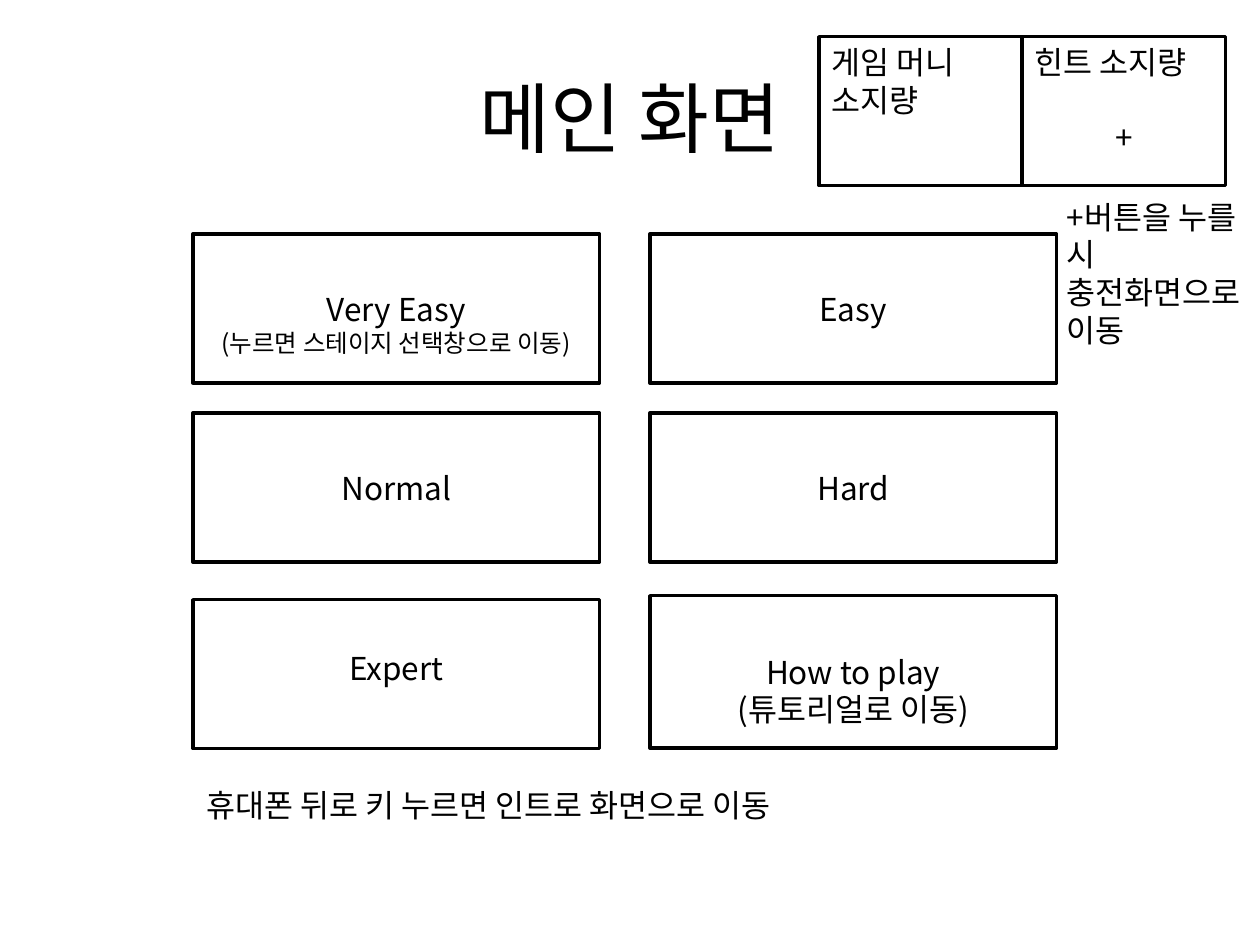
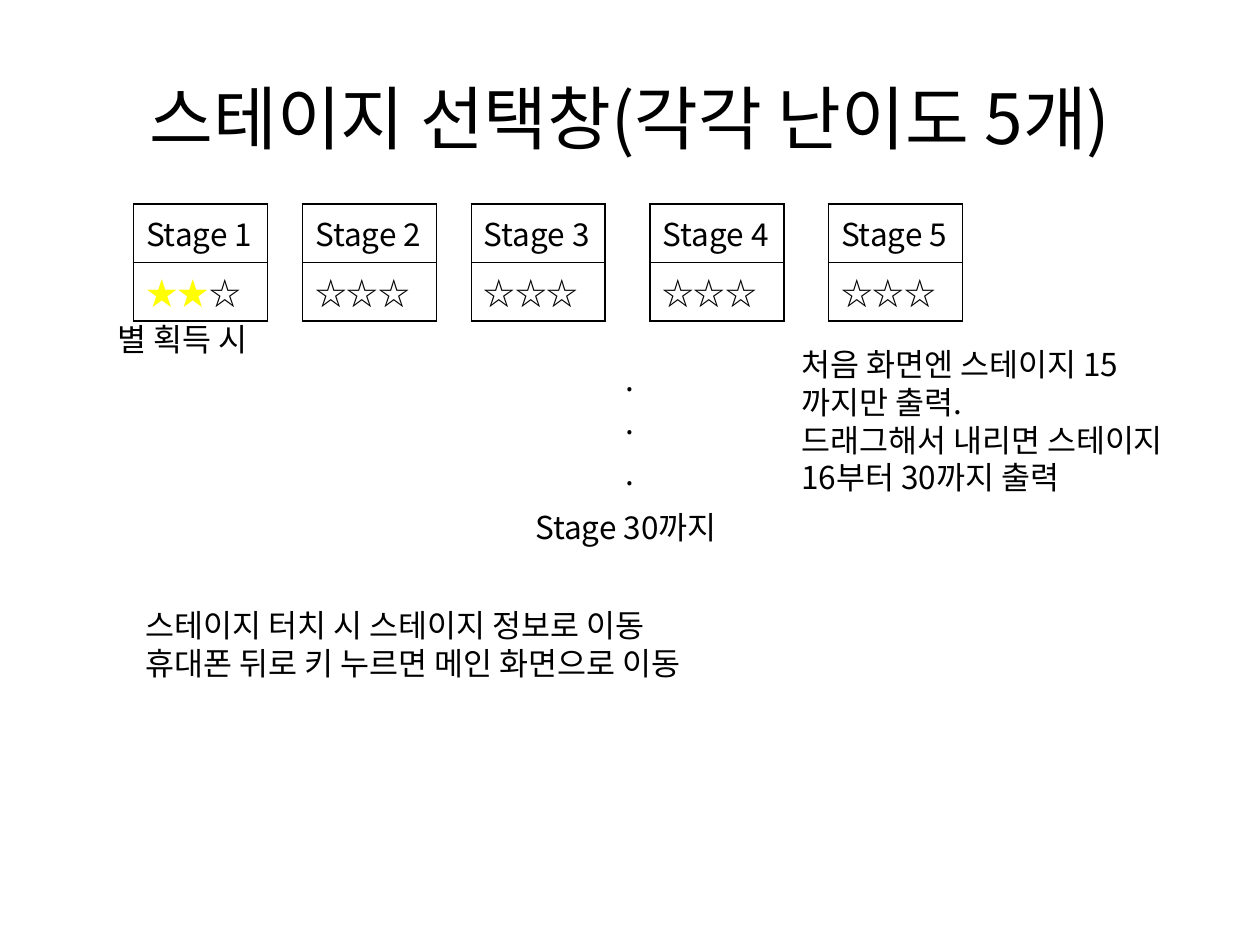
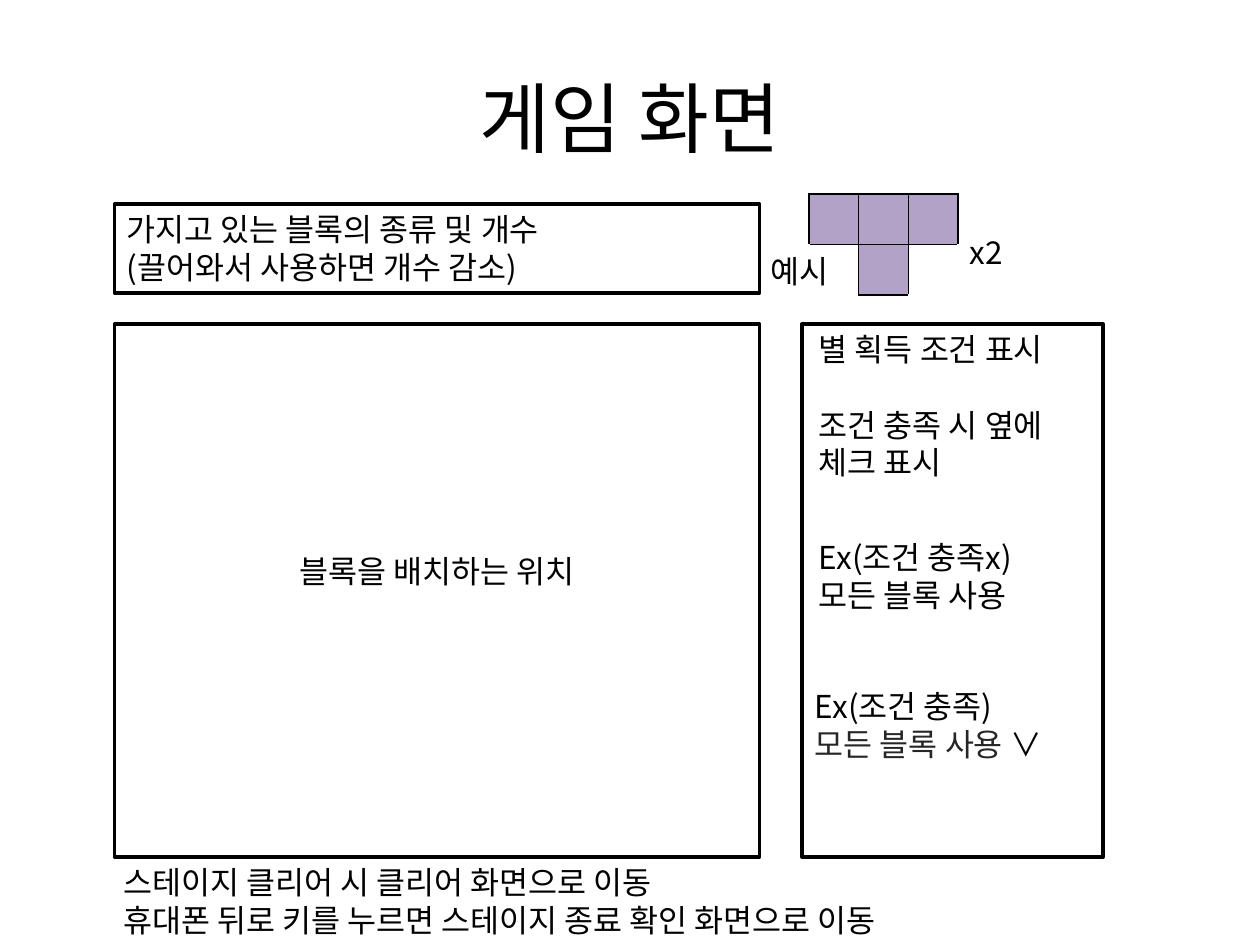
from dataclasses import dataclass
from typing import NamedTuple, Union

from lxml import etree
from pptx import Presentation
from pptx import util as u
from pptx.dml.color import RGBColor
from pptx.enum import shapes, text
from pptx.oxml.ns import qn

# Shared style
FONT = "Noto Sans CJK KR"
HUE = {"ink": "000000", "paper": "FFFFFF", "star": "FFFF00",
       "block": "B3A2C7", "gray": "262626"}
SIZE = 18
LEAD = 1.2
LEFT, MID = text.PP_ALIGN.LEFT, text.PP_ALIGN.CENTER


class Run(NamedTuple):
    words: str
    size: float = SIZE
    hue: str = "ink"


class Line(NamedTuple):
    runs: tuple[Run, ...]
    gap: float = 0


@dataclass(frozen=True)
class Box:
    x: float
    y: float
    w: float
    h: float


@dataclass(frozen=True)
class Note:
    box: Box
    lines: tuple[Union[str, Line], ...]
    side: text.PP_ALIGN = LEFT
    wrap: bool = True


class Button(NamedTuple):
    col: int
    y: float
    h: float
    drop: float
    lines: tuple[Union[str, Line], ...]


def color(name: str) -> RGBColor:
    return RGBColor.from_string(HUE[name])


def place(box: Box) -> tuple:
    return u.Cm(box.x), u.Cm(box.y), u.Cm(box.w), u.Cm(box.h)


# Text
def add_run(para, run: Run) -> None:
    item = para.add_run()
    item.text = run.words
    font = item.font
    font.name, font.size = FONT, u.Pt(run.size)
    font.color.rgb = color(run.hue)
    etree.SubElement(font._element, qn("a:ea"), typeface=FONT)


def add_note(slide, note: Note) -> None:
    frame = slide.shapes.add_textbox(*place(note.box)).text_frame
    frame.word_wrap = note.wrap
    frame.auto_size = text.MSO_AUTO_SIZE.SHAPE_TO_FIT_TEXT
    for num, line in enumerate(note.lines):
        if isinstance(line, str):
            line = Line((Run(line),))
        para = frame.add_paragraph() if num else frame.paragraphs[0]
        para.alignment = note.side
        para.line_spacing = u.Pt(line.runs[0].size * LEAD)
        if line.gap:
            para.space_before = u.Pt(line.gap)
        for run in line.runs:
            add_run(para, run)


def add_title(slide, words: str, size: float = 44) -> None:
    frame = slide.shapes.add_textbox(*place(Box(1.27, 0.76, 22.86, 3.18))).text_frame
    frame.word_wrap = True
    frame.vertical_anchor = text.MSO_ANCHOR.MIDDLE
    para = frame.paragraphs[0]
    para.alignment = MID
    add_run(para, Run(words, size))


# Frames and lines
def add_frame(slide, box: Box):
    rect = slide.shapes.add_shape(shapes.MSO_SHAPE.RECTANGLE, *place(box))
    rect.shadow.inherit = False
    rect.fill.solid()
    rect.fill.fore_color.rgb = color("paper")
    rect.line.color.rgb = color("ink")
    rect.line.width = u.Pt(2)
    return rect


def split(slide, rect) -> None:
    mid = rect.left + rect.width // 2
    line = slide.shapes.add_connector(
        shapes.MSO_CONNECTOR.STRAIGHT, mid, rect.top + rect.height, mid, rect.top)
    line.begin_connect(rect, 2)
    line.end_connect(rect, 0)
    line.line.color.rgb = color("ink")
    line.line.width = u.Pt(2.25)
    etree.SubElement(line._element.spPr, qn("a:effectLst"))


# Tables
def add_grid(slide, box: Box, rows: int, cols: int):
    grid = slide.shapes.add_table(rows, cols, *place(box)).table
    grid.first_row = grid.horz_banding = False
    return grid


def dress(cell, hue: str, sides: str = "LRTB") -> None:
    cell.fill.solid()
    cell.fill.fore_color.rgb = color(hue)
    props = cell._tc.get_or_add_tcPr()
    for num, side in enumerate(sides):
        edge = etree.Element(qn(f"a:ln{side}"), w=str(u.Pt(1)))
        paint = etree.SubElement(edge, qn("a:solidFill"))
        etree.SubElement(paint, qn("a:srgbClr"), val=HUE["ink"])
        props.insert(num, edge)


def add_stage(slide, x: float, num: int) -> None:
    grid = add_grid(slide, Box(x, 4.11, 2.7, 2.36), 2, 1)
    stars = (Run("★★", hue="star"), Run("☆")) if num == 1 else (Run("☆☆☆"),)
    for row, runs in enumerate(((Run(f"Stage {num}"),), stars)):
        cell = grid.cell(row, 0)
        dress(cell, "paper")
        for run in runs:
            add_run(cell.text_frame.paragraphs[0], run)


# Main screen
def draw_main(slide) -> None:
    add_title(slide, "메인 화면")
    cols, wide = (3.89, 13.1), 8.2
    hint = Line((Run("(누르면 스테이지 선택창으로 이동)", 14),))
    buttons = (
        Button(0, 4.72, 3, 1, ("Very Easy", hint)),
        Button(1, 4.72, 3, 1, ("Easy",)),
        Button(0, 8.33, 3, 1, ("Normal",)),
        Button(1, 8.33, 3, 1, ("Hard",)),
        Button(0, 12.09, 3, 0.86, ("Expert",)),
        Button(1, 12.01, 3.07, 1.02, ("How to play", "(튜토리얼로 이동)")),
    )
    for item in buttons:
        x = cols[item.col]
        add_frame(slide, Box(x, item.y, wide, item.h))
        add_note(slide, Note(Box(x, item.y + item.drop, wide, 1.02),
                             item.lines, MID))

    # Money and hint counters
    split(slide, add_frame(slide, Box(16.51, 0.74, wide, 3)))
    half = wide / 2
    notes = (
        Note(Box(16.51, 0.74, half, 1.8), ("게임 머니 소지량",)),
        Note(Box(16.51 + half, 0.74, half, 1.02), ("힌트 소지량",)),
        Note(Box(16.51 + half, 2.26, half, 1.02), ("+",), MID),
        Note(Box(21.26, 3.86, 4.19, 2.57), ("+버튼을 누를 시 충전화면으로 이동",)),
        Note(Box(3.91, 15.72, 15.19, 1.02),
             ("휴대폰 뒤로 키 누르면 인트로 화면으로 이동",)),
    )
    for note in notes:
        add_note(slide, note)


# Stage selection
def draw_stages(slide) -> None:
    add_title(slide, "스테이지 선택창(각각 난이도 5개)", 39.6)
    for num, x in enumerate((2.69, 6.1, 9.5, 13.1, 16.7), 1):
        add_stage(slide, x, num)
    for y in (7.14, 8, 9.02):
        add_note(slide, Note(Box(0, y, 25.4, 1.02), (".",), MID))
    notes = (
        Note(Box(10.54, 10.11, 4.34, 1.02), ("Stage 30까지",), wrap=False),
        Note(Box(2.69, 12.09, 20, 1.8),
             ("스테이지 터치 시 스테이지 정보로 이동",
              "휴대폰 뒤로 키 누르면 메인 화면으로 이동")),
        Note(Box(2.11, 6.32, 4, 1.02), ("별 획득 시",)),
        Note(Box(15.9, 6.83, 8.2, 3.33),
             ("처음 화면엔 스테이지 15까지만 출력.",
              "드래그해서 내리면 스테이지 16부터 30까지 출력")),
    )
    for note in notes:
        add_note(slide, note)


# Game screen
def draw_game(slide) -> None:
    add_title(slide, "게임 화면")
    top, tall = 6.53, 10.75
    for box in (Box(2.31, 4.11, 13, 1.8), Box(2.31, top, 13, tall),
                Box(16.17, top, 6.07, tall)):
        add_frame(slide, box)

    # T-shaped block
    grid = add_grid(slide, Box(16.31, 3.91, 3, 2.04), 2, 3)
    for col, sides in enumerate(("RT", "LRTB", "LT")):
        dress(grid.cell(0, col), "block")
        dress(grid.cell(1, col), "block" if col == 1 else "paper", sides)

    check = Line((Run("모든 블록 사용 ", hue="gray"), Run("∨")))
    notes = (
        Note(Box(2.31, 4.11, 13, 1.8),
             ("가지고 있는 블록의 종류 및 개수", "(끌어와서 사용하면 개수 감소)")),
        Note(Box(2.31, 11, 13, 1.02), ("블록을 배치하는 위치",), MID),
        Note(Box(19.3, 4.57, 2.59, 1.02), ("x2",)),
        Note(Box(15.29, 4.95, 2, 1.02), ("예시",)),
        Note(Box(16.26, top, 6.07, 3.33),
             ("별 획득 조건 표시",
              Line((Run("조건 충족 시 옆에 체크 표시"),), SIZE * LEAD))),
        Note(Box(16.26, 10.72, 6.05, 1.8), ("Ex(조건 충족x)", "모든 블록 사용")),
        Note(Box(16.18, 13.72, 6.05, 1.8), ("Ex(조건 충족)", check)),
        Note(Box(2.24, top + tall, 19.4, 1.77),
             ("스테이지 클리어 시 클리어 화면으로 이동",
              "휴대폰 뒤로 키를 누르면 스테이지 종료 확인 화면으로 이동")),
    )
    for note in notes:
        add_note(slide, note)


def main() -> None:
    deck = Presentation()
    deck.slide_width, deck.slide_height = u.Cm(25.4), u.Cm(19.05)
    for draw in (draw_main, draw_stages, draw_game):
        draw(deck.slides.add_slide(deck.slide_layouts[6]))
    deck.save("out.pptx")


if __name__ == "__main__":
    main()
